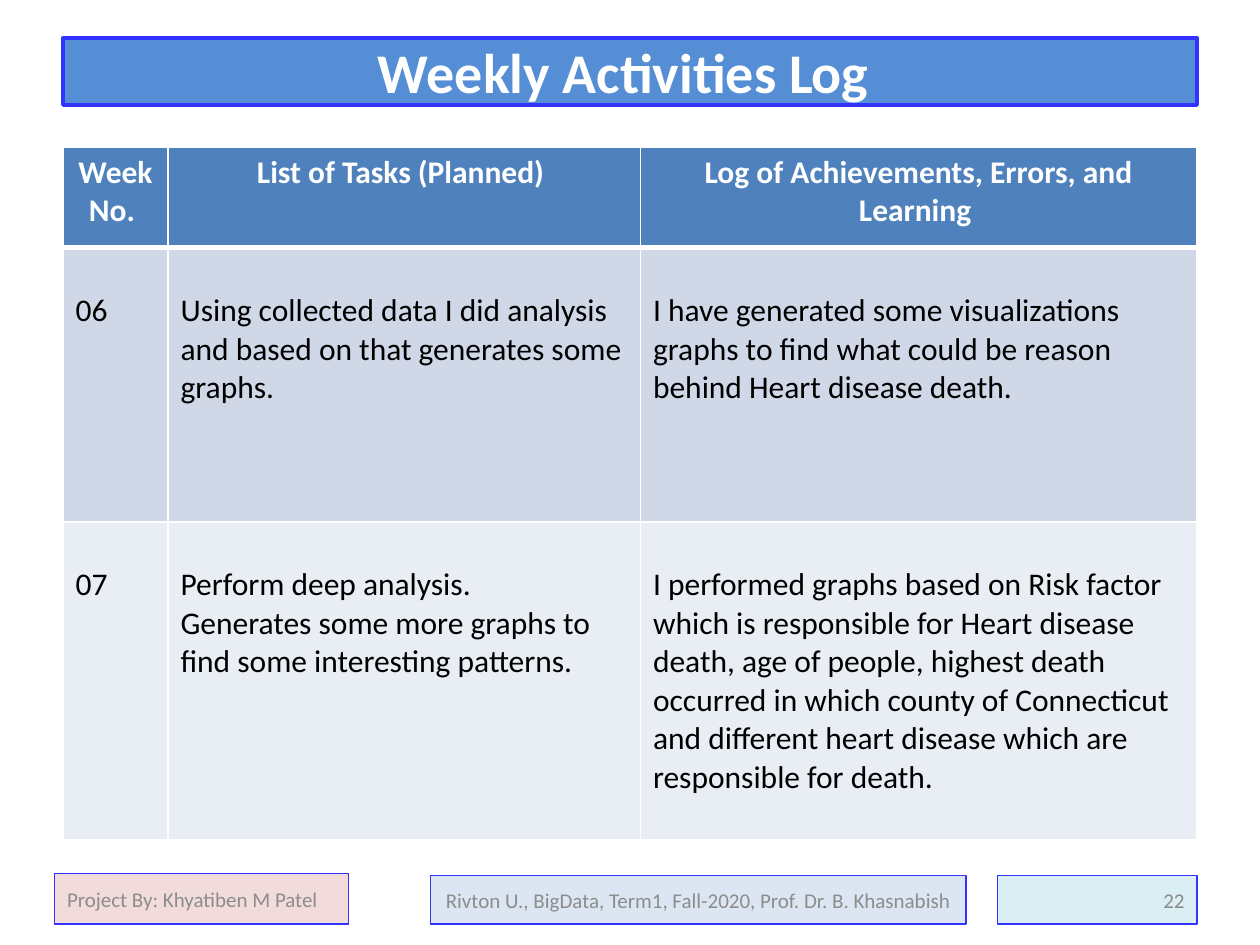
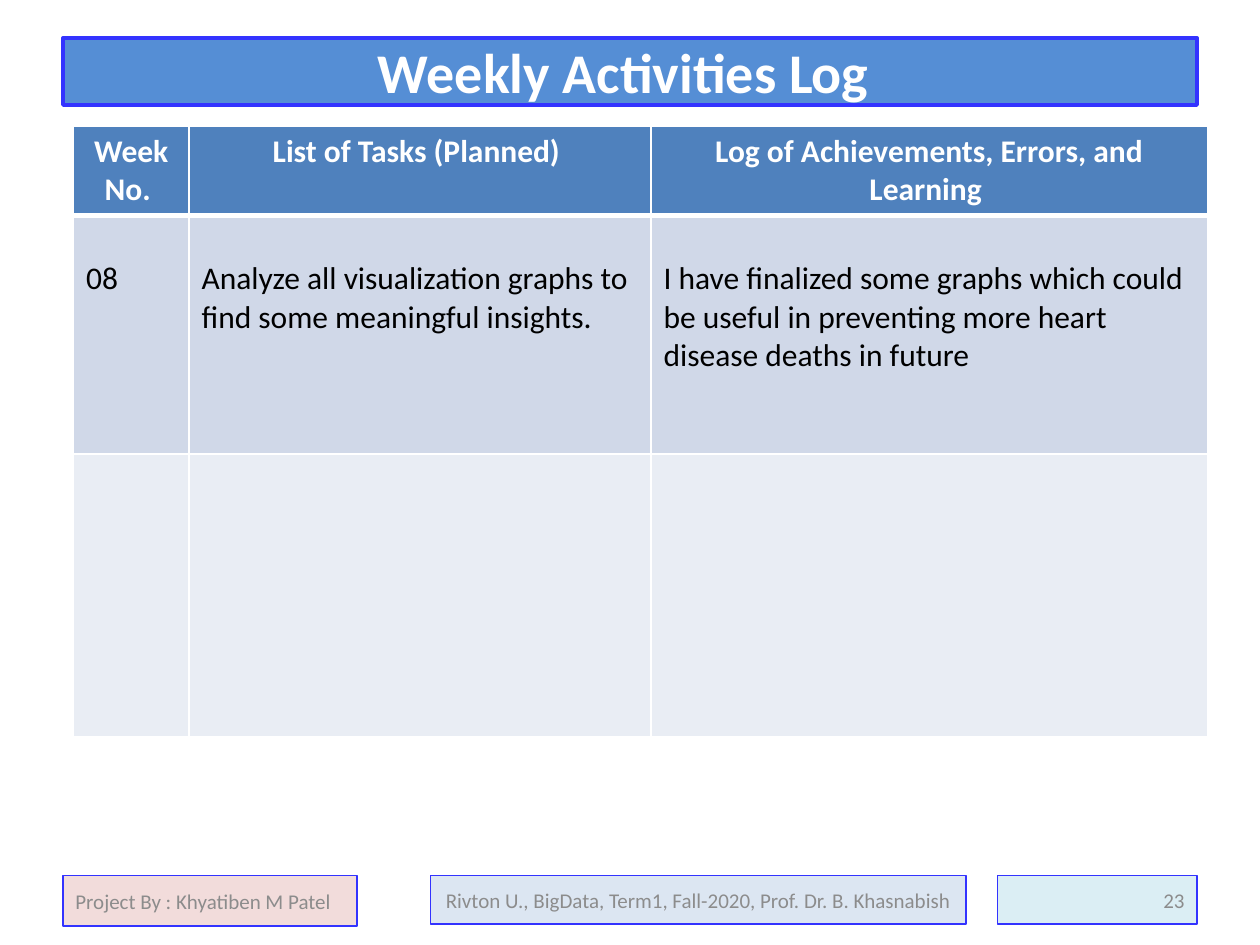
from dataclasses import dataclass

from lxml import etree
from pptx import Presentation
from pptx import util as u
from pptx.dml.color import RGBColor
from pptx.enum import shapes, text
from pptx.oxml import ns

COLOURS = {
    "banner": "558ED5", "outline": "3333FF", "white": "FFFFFF", "black": "000000",
    "header": "4F81BD", "odd_week": "D0D8E8", "even_week": "E9EDF4",
    "author": "F2DCDB", "course": "DCE6F2", "page": "DBEEF4", "footer_text": "8C8C8C",
}
FONT = "Calibri"
GRID_COLUMNS, GRID_ROWS = 120, 90
LEFT, CONTENT_WIDTH = 6, 108
FOOTER_TOP, FOOTER_HEIGHT = 83.4, 4.6
TITLE = "Weekly Activities Log "
HEADINGS = ("Week No. ", "List of Tasks (Planned) ",
            "Log of Achievements, Errors, and Learning ")
COURSE = "Rivton U., BigData, Term1, Fall-2020, Prof. Dr. B. Khasnabish"
ALIGN = text.PP_ALIGN

prs = Presentation()
prs.slide_width, prs.slide_height = u.Inches(10), u.Inches(7.5)


@dataclass(frozen=True)
class Box:
    """A place on the slide, in grid columns and rows."""
    left: float
    top: float
    width: float
    height: float

    def emu(self) -> tuple:
        return across(self.left), down(self.top), across(self.width), down(self.height)


@dataclass(frozen=True)
class FooterPart:
    words: str
    box: Box
    colour: str
    align: ALIGN


@dataclass(frozen=True)
class LogSlide:
    weeks: tuple
    left: float
    top: float
    columns: tuple
    rows: tuple
    author: str
    author_box: Box
    page: str


LOG_SLIDES = (
    LogSlide(
        weeks=(
            ("06",
             "Using collected data I did analysis and based on that generates some graphs.",
             "I have generated some visualizations graphs to find what could be reason "
             "behind Heart disease death."),
            ("07",
             "Perform deep analysis.\n"
             "Generates some more graphs to find some interesting patterns.",
             "I performed graphs based on Risk factor which is responsible for Heart "
             "disease death, age of people, highest death occurred in which county of "
             "Connecticut and different heart disease which are responsible for death."),
        ),
        left=LEFT, top=14, columns=(10, 45, 53), rows=(9.6, 26.1, 30.3),
        author="Project By: Khyatiben M Patel", author_box=Box(5.2, 83.2, 28, 4.8),
        page="22",
    ),
    LogSlide(
        weeks=(
            ("08",
             "Analyze all visualization graphs to find some meaningful insights.",
             "I have finalized some graphs which could be useful in preventing more "
             "heart disease deaths in future"),
            ("", "", ""),
        ),
        left=7, top=12, columns=(11, 44, 53), rows=(8.4, 22.7, 26.9),
        author="Project By : Khyatiben M Patel", author_box=Box(LEFT, FOOTER_TOP, 28, 4.8),
        page="23",
    ),
)


# Shared helpers
def across(columns: float) -> int:
    return int(prs.slide_width * columns / GRID_COLUMNS)


def down(rows: float) -> int:
    return int(prs.slide_height * rows / GRID_ROWS)


def rgb(name: str) -> RGBColor:
    return RGBColor.from_string(COLOURS[name])


def write(frame, words: str, size: float, colour: str, align: ALIGN, bold=False) -> None:
    frame.text = words
    for paragraph in frame.paragraphs:
        paragraph.alignment = align
        font = paragraph.font
        font.name, font.size, font.bold = FONT, u.Pt(size), bold
        font.color.rgb = rgb(colour)


def paint(panel, fill: str, line_width: float) -> None:
    panel.fill.solid()
    panel.fill.fore_color.rgb = rgb(fill)
    panel.line.color.rgb = rgb("outline")
    panel.line.width = u.Pt(line_width)
    panel.text_frame.word_wrap = True
    panel.text_frame.auto_size = text.MSO_AUTO_SIZE.NONE
    panel.text_frame.vertical_anchor = text.MSO_ANCHOR.MIDDLE


def add_borders(cell, widths: dict) -> None:
    properties = cell._tc.get_or_add_tcPr()
    for side, width in widths.items():
        line = etree.SubElement(properties, ns.qn(f"a:ln{side}"), w=str(u.Pt(width)))
        fill = etree.SubElement(line, ns.qn("a:solidFill"))
        etree.SubElement(fill, ns.qn("a:srgbClr"), val=COLOURS["white"])


# Parts of a log slide
def add_title(slide) -> None:
    title = slide.shapes.title
    title.left, title.top, title.width, title.height = Box(
        LEFT, 3.6, CONTENT_WIDTH, 6.4).emu()
    paint(title, "banner", 2)
    write(title.text_frame, TITLE, 32, "white", ALIGN.CENTER, bold=True)


def add_log(slide, log: LogSlide) -> None:
    box = Box(log.left, log.top, sum(log.columns), sum(log.rows))
    entries = (HEADINGS, *log.weeks)
    table = slide.shapes.add_table(len(entries), len(HEADINGS), *box.emu()).table
    table.first_row = table.horz_banding = False
    for column, width in zip(table.columns, log.columns):
        column.width = across(width)
    for row, height in zip(table.rows, log.rows):
        row.height = down(height)

    for r, entry in enumerate(entries):
        heading = r == 0
        fill = "header" if heading else ("even_week", "odd_week")[r % 2]
        for c, words in enumerate(entry):
            cell = table.cell(r, c)
            add_borders(cell, {"L": 1, "R": 1, "T": 3 if r == 1 else 1,
                               "B": 3 if heading else 1})
            cell.fill.solid()
            cell.fill.fore_color.rgb = rgb(fill)
            if heading:
                write(cell.text_frame, words, 18, "white", ALIGN.CENTER, bold=True)
            else:
                cell.margin_top = u.Inches(0.35)
                write(cell.text_frame, words, 18, "black", ALIGN.LEFT)


def add_footer(slide, log: LogSlide) -> None:
    parts = (
        FooterPart(log.author, log.author_box, "author", ALIGN.LEFT),
        FooterPart(COURSE, Box(41, FOOTER_TOP, 51, FOOTER_HEIGHT), "course", ALIGN.CENTER),
        FooterPart(log.page, Box(95, FOOTER_TOP, 19, FOOTER_HEIGHT), "page", ALIGN.RIGHT),
    )
    for part in parts:
        panel = slide.shapes.add_shape(shapes.MSO_SHAPE.RECTANGLE, *part.box.emu())
        panel.shadow.inherit = False
        paint(panel, part.colour, 0.75)
        write(panel.text_frame, part.words, 12, "footer_text", part.align)


def main() -> None:
    title_only = prs.slide_layouts.get_by_name("Title Only")
    for log in LOG_SLIDES:
        slide = prs.slides.add_slide(title_only)
        add_title(slide)
        add_log(slide, log)
        add_footer(slide, log)
    prs.save("out.pptx")


if __name__ == "__main__":
    main()
